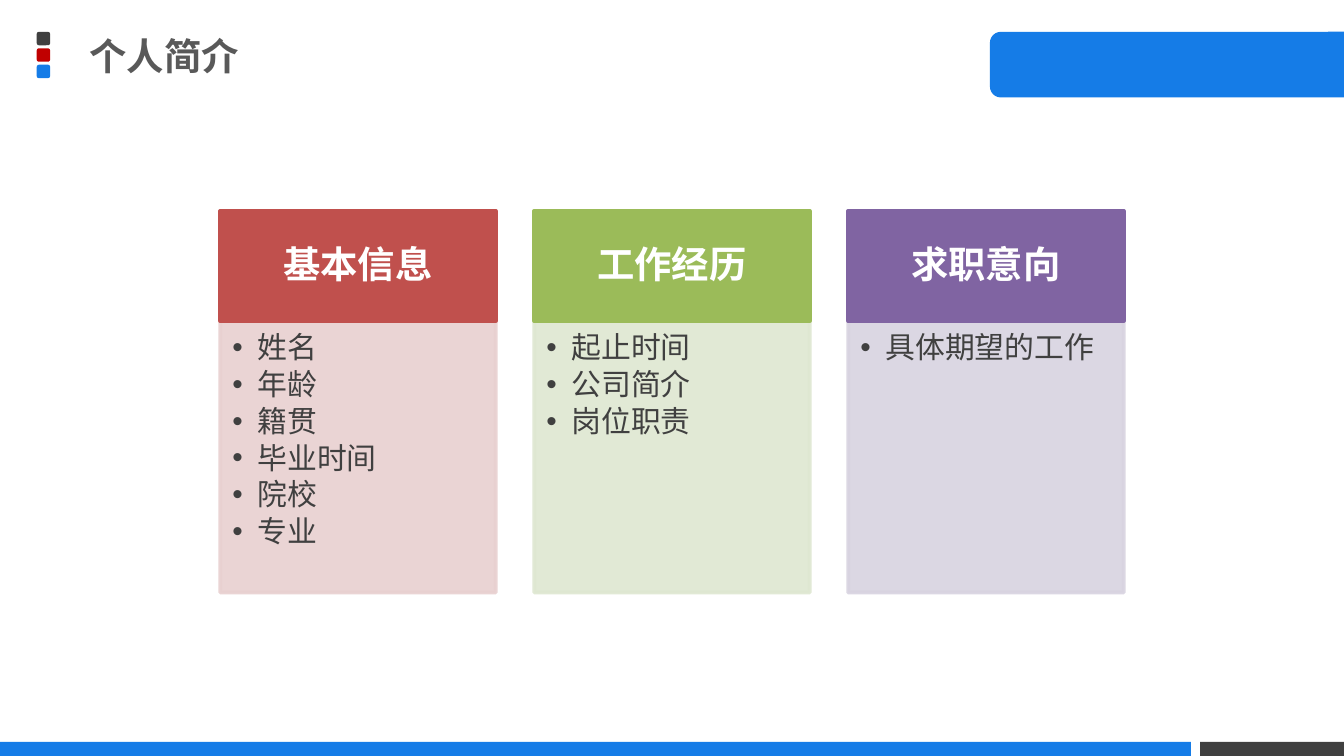
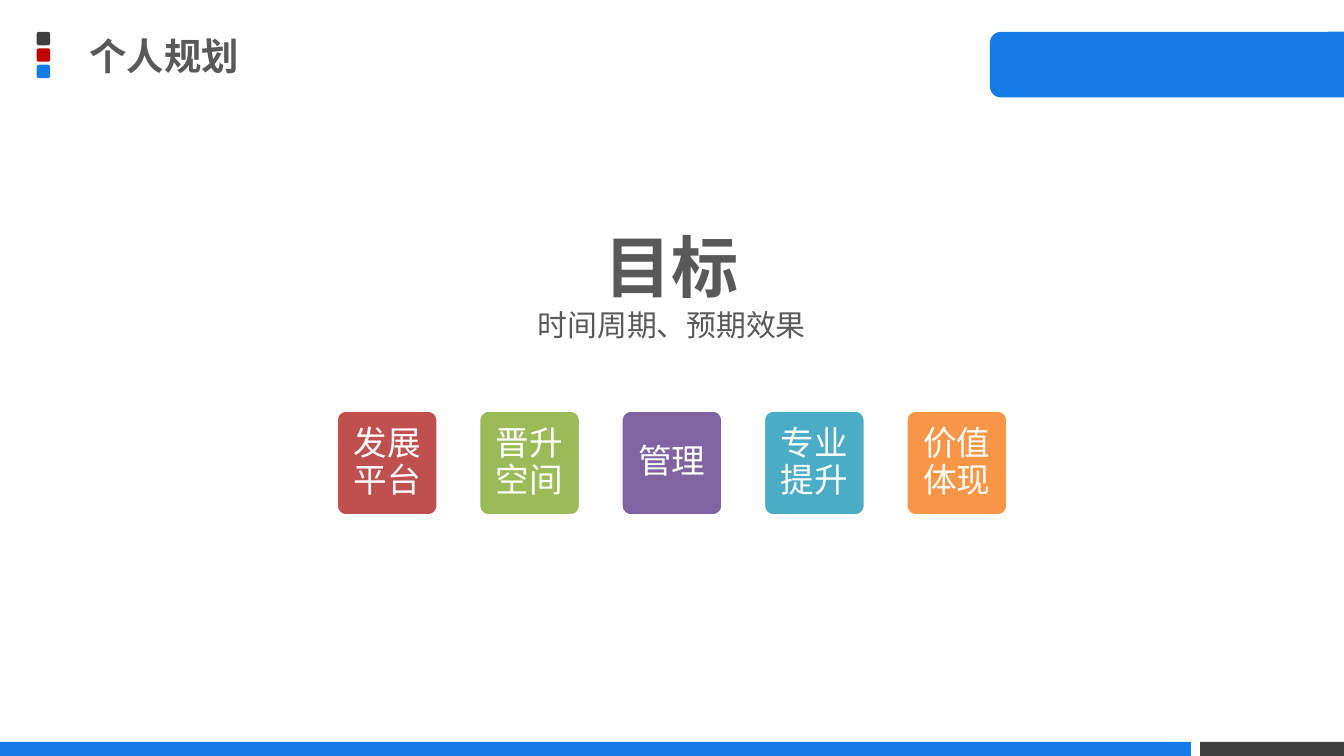
import pptx
import pptx.util
import pptx.dml.color
import pptx.enum.shapes
import pptx.enum.text
import pptx.oxml.ns
import lxml.etree

Pt = pptx.util.Pt
SHAPE = pptx.enum.shapes.MSO_SHAPE
ALIGN = pptx.enum.text.PP_ALIGN
ANCHOR = pptx.enum.text.MSO_ANCHOR
qn = pptx.oxml.ns.qn

COLORS = {
    "blue": "157CE7",
    "crimson": "C00000",
    "dark": "404040",
    "grey": "595959",
    "white": "FFFFFF",
    "red": "C0504D",
    "green": "9BBB59",
    "purple": "8064A2",
    "teal": "4BACC6",
    "orange": "F79646",
    "pale red": "E8D0D0",
    "pale green": "DEE7D1",
    "pale purple": "D8D3E0",
}
WIDTH, HEIGHT = 720, 405
TITLE_LAYOUT, LISTS_LAYOUT = 5, 4

PROFILE = [
    ("基本信息", "red", ["姓名", "年龄", "籍贯", "毕业时间", "院校", "专业"]),
    ("工作经历", "green", ["起止时间", "公司简介", "岗位职责"]),
    ("求职意向", "purple", ["具体期望的工作"]),
]
AIMS = [
    ("发展平台", "red"),
    ("晋升空间", "green"),
    ("管理", "purple"),
    ("专业提升", "teal"),
    ("价值体现", "orange"),
]


def rgb(color):
    """Return the named colour."""
    return pptx.dml.color.RGBColor.from_string(COLORS[color])


def place(shape, box):
    """Move a shape to a box of left, top, width and height."""
    shape.left, shape.top, shape.width, shape.height = map(Pt, box)


def paint(shape, fill, line=None):
    """Fill a shape and give it a 2 pt outline, or none."""
    shape.fill.solid()
    shape.fill.fore_color.rgb = rgb(fill)
    if line:
        shape.line.color.rgb = rgb(line)
        shape.line.width = Pt(2)
    else:
        shape.line.fill.background()


def add_block(slide, kind, box, fill, line=None):
    """Add a painted preset shape without a shadow."""
    block = slide.shapes.add_shape(kind, *map(Pt, box))
    block.shadow.inherit = False
    paint(block, fill, line)
    return block


def set_frame(frame, insets, anchor):
    """Set the insets and anchor of a wrapping text frame."""
    frame.word_wrap = True
    frame.auto_size = pptx.enum.text.MSO_AUTO_SIZE.NONE
    frame.vertical_anchor = anchor
    (frame.margin_left, frame.margin_top,
     frame.margin_right, frame.margin_bottom) = map(Pt, insets)


def style(paragraph, size, color, bold=False, align=ALIGN.LEFT, spacing=0.9, font="Calibri"):
    """Format a paragraph and its runs."""
    paragraph.alignment = align
    paragraph.line_spacing = spacing
    paragraph.space_before = Pt(0)
    for run in paragraph.runs:
        run.font.size = Pt(size)
        run.font.name = font
        run.font.bold = bold
        run.font.color.rgb = rgb(color)


def add_bullet(paragraph, indent):
    """Give a paragraph a hanging round bullet."""
    properties = paragraph._p.get_or_add_pPr()
    properties.set("marL", str(Pt(indent)))
    properties.set("indent", str(-Pt(indent)))
    lxml.etree.SubElement(properties, qn("a:buFont"), typeface="Arial")
    lxml.etree.SubElement(properties, qn("a:buChar"), char="•")


def fade(shape, percent):
    """Make the fill and outline of a shape partly transparent."""
    for color in shape._element.spPr.iter(qn("a:srgbClr")):
        lxml.etree.SubElement(color, qn("a:alpha"), val=str(percent * 1000))


def add_banner(slide, left, top, width, height):
    """Add the blue tab whose rounded end faces left."""
    shift = (width - height) / 2
    banner = add_block(slide, SHAPE.ROUND_2_SAME_RECTANGLE,
                       (left + shift, top - shift, height, width), "blue")
    banner.rotation = 270


def add_squares(slide, left, top, side, pitch):
    """Add the stack of small squares beside the title."""
    for row, color in enumerate(("dark", "crimson", "blue")):
        add_block(slide, SHAPE.ROUNDED_RECTANGLE, (left, top + row * pitch, side, side), color)


def add_footer(slide, top, height):
    """Add the two bars along the bottom edge."""
    blue_end, dark_start = 638, 643
    add_block(slide, SHAPE.RECTANGLE, (dark_start, top, WIDTH - dark_start, height), "dark")
    add_block(slide, SHAPE.RECTANGLE, (0, top, blue_end, height), "blue")


def add_page(deck, layout, title):
    """Add a slide with the shared decoration and title."""
    slide = deck.slides.add_slide(deck.slide_layouts[layout])
    add_banner(slide, 530.3, 17, 190, 35.2)
    add_squares(slide, 19.7, 17.1, 7.2, 8.8)
    add_footer(slide, 397.5, 7.5)
    heading = slide.shapes.title
    place(heading, (42.5, 13.7, 147.6, 35.3))
    heading.text_frame.text = title
    set_frame(heading.text_frame, (5.4, 2.7, 5.4, 2.7), ANCHOR.MIDDLE)
    style(heading.text_frame.paragraphs[0], 20, "grey", bold=True, font="Arial")
    return slide


def add_column(slide, details, box, topic, color, items):
    """Add a coloured heading over a pale bulleted list."""
    left, top, width, height = box
    head_height = 59
    head = add_block(slide, SHAPE.RECTANGLE, (left, top, width, head_height), color, color)
    head.text_frame.text = topic
    set_frame(head.text_frame, (11.4, 6.5, 11.4, 6.5), ANCHOR.MIDDLE)
    style(head.text_frame.paragraphs[0], 20, "white", bold=True, align=ALIGN.CENTER)

    place(details, (left, top + head_height, width, height - head_height))
    paint(details, f"pale {color}", f"pale {color}")
    fade(details, 90)
    details.text_frame.text = "\n".join(items)
    set_frame(details.text_frame, (6.5, 6.5, 8.6, 10), ANCHOR.TOP)
    for paragraph in details.text_frame.paragraphs:
        paragraph.level = 1
        add_bullet(paragraph, 13.5)
        style(paragraph, 16, "dark")
        paragraph.space_after = Pt(2.4)


def add_profile(slide, left, top, width, height):
    """Lay out the profile columns with equal gaps."""
    column_width = 147.6
    pitch = (width - column_width) / (len(PROFILE) - 1)
    lists = [holder for holder in slide.placeholders if holder.placeholder_format.idx > 0]
    for spare in lists[len(PROFILE):]:
        spare._element.getparent().remove(spare._element)
    for index, (details, column) in enumerate(zip(lists, PROFILE)):
        add_column(slide, details, (left + index * pitch, top, column_width, height), *column)


def add_aims(slide, left, top, width, height):
    """Lay out the row of aim tiles with equal gaps."""
    tile_width = 54.8
    pitch = (width - tile_width) / (len(AIMS) - 1)
    for index, (aim, color) in enumerate(AIMS):
        tile = add_block(slide, SHAPE.ROUNDED_RECTANGLE,
                         (left + index * pitch, top, tile_width, height), color, "white")
        tile.adjustments[0] = 0.1
        tile.text_frame.text = aim
        set_frame(tile.text_frame, (7.5, 7.5, 7.5, 7.5), ANCHOR.MIDDLE)
        style(tile.text_frame.paragraphs[0], 18, "white", align=ALIGN.CENTER)


def add_goal(slide, left, top, width, height):
    """Add the goal and the line that explains it."""
    goal = slide.shapes.add_textbox(*map(Pt, (left, top, width, height))).text_frame
    goal.text = "目标\n时间周期、预期效果"
    goal.word_wrap = False
    goal.auto_size = pptx.enum.text.MSO_AUTO_SIZE.SHAPE_TO_FIT_TEXT
    name, scope = goal.paragraphs
    style(name, 36, "grey", bold=True, align=ALIGN.CENTER, spacing=1.0)
    style(scope, 16, "grey", align=ALIGN.CENTER, spacing=1.0)


def main():
    """Build and save the two slides."""
    deck = pptx.Presentation()
    deck.slide_width, deck.slide_height = Pt(WIDTH), Pt(HEIGHT)
    profile = add_page(deck, LISTS_LAYOUT, "个人简介")
    add_profile(profile, 118, 113, 484, 204.5)
    plan = add_page(deck, TITLE_LAYOUT, "个人规划")
    add_aims(plan, 180, 219.6, 360, 56.9)
    add_goal(plan, 280, 117.4, 160, 70.6)
    deck.save("out.pptx")


if __name__ == "__main__":
    main()
